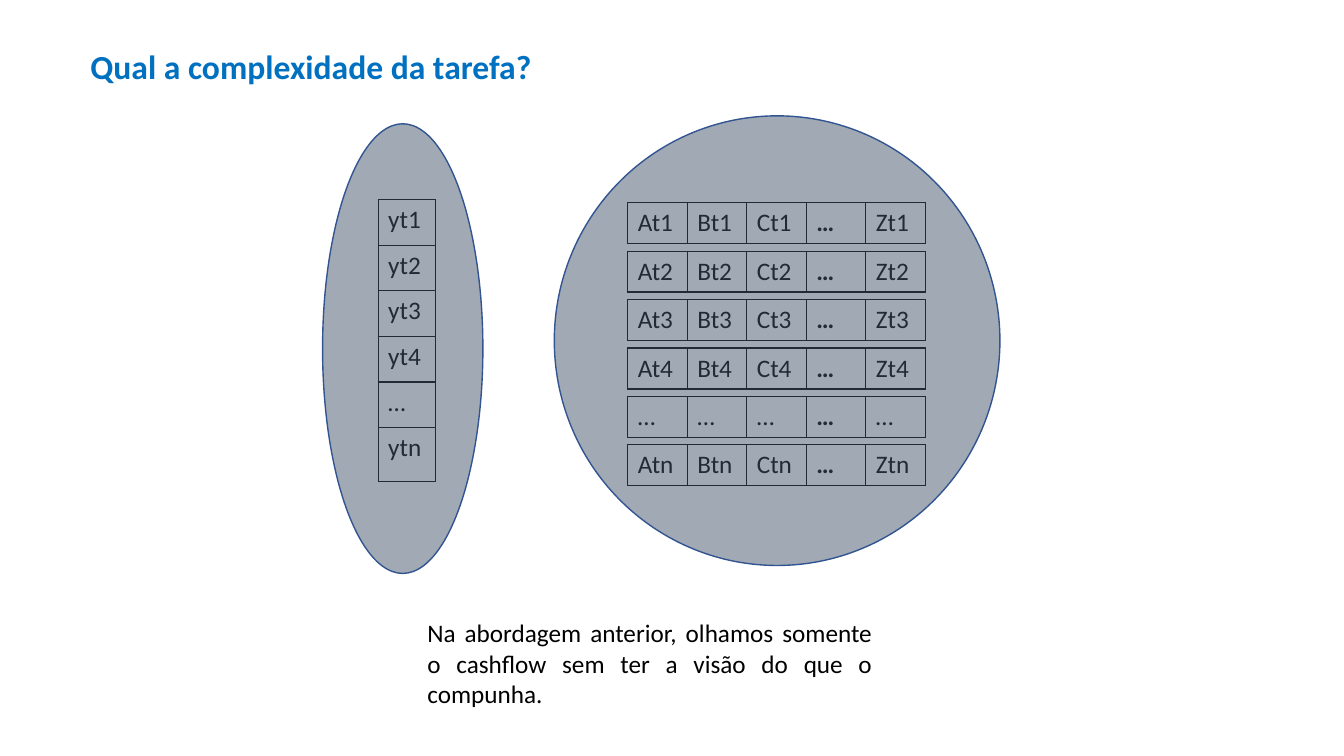
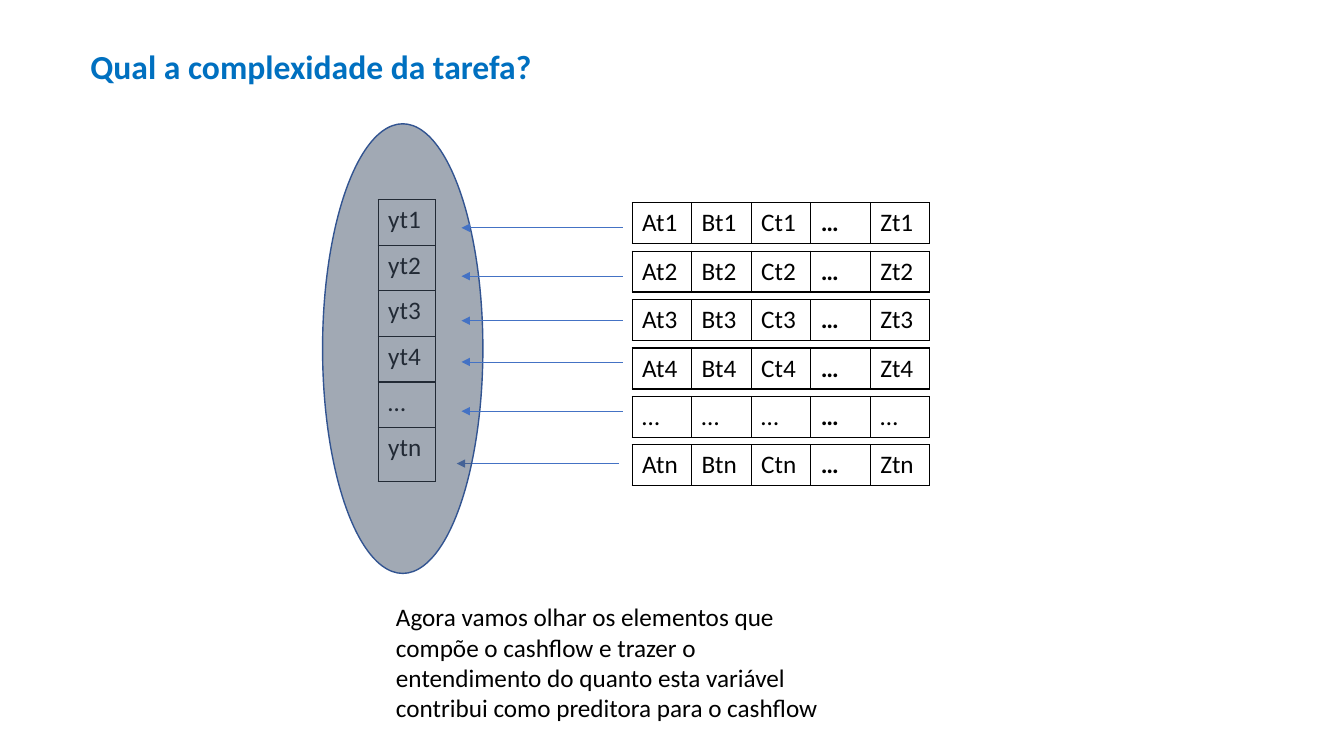
from lxml import etree
from pptx import Presentation
from pptx.dml.color import RGBColor
from pptx.enum.shapes import MSO_CONNECTOR, MSO_SHAPE
from pptx.enum.text import MSO_AUTO_SIZE, PP_ALIGN
from pptx.oxml.ns import qn
from pptx.util import Cm, Pt

# Shared look
FONT = "Calibri"
BLACK, TITLE_BLUE, ARROW_BLUE = "000000", "0070C0", "4472C4"
OVAL_FILL, OVAL_LINE = "44546A", "325491"
TITLE = "Qual a complexidade da tarefa?"
TITLE_BOX = (2.03, 1.02, 27.09, 1.27)
OVAL_Y = (8.13, 3.12, 4.04, 11.33)
OVAL_X = (13.97, 2.92, 11.23, 11.33)

# Table contents: one y column, one single-row table per period
PERIODS = ["1", "2", "3", "4", None, "n"]
Y_CELLS = [[f"yt{t}" if t else "…"] for t in PERIODS]
X_ROWS = [[f"{name}t{t}" if t and name != "…" else "…" for name in "ABC…Z"]
          for t in PERIODS]
Y_HEIGHTS = [1.15] * 5 + [1.36]

# What differs between the slides; arrows are (from x, to x, y)
SLIDES = [
    dict(x_left=15.82, ovals=[OVAL_Y, OVAL_X], back_arrows=[], front_arrows=[],
         box=(10.52, 15.44, 11.71, 2.57), align=PP_ALIGN.JUSTIFY,
         caption="Na abordagem anterior, olhamos somente o cashflow "
                 "sem ter a visão do que o compunha."),
    dict(x_left=15.93, ovals=[OVAL_Y],
         back_arrows=[(15.6, 11.51, 11.68)],
         front_arrows=[(15.7, 11.63, y) for y in (5.74, 6.96, 8.08, 9.12, 10.36)],
         box=(9.73, 15.04, 11.71, 3.33), align=PP_ALIGN.LEFT,
         caption="Agora vamos olhar os elementos que compõe o cashflow e trazer o "
                 "entendimento do quanto esta variável contribui como preditora "
                 "para o cashflow"),
]


def write(tf, text, size=18, color=BLACK, bold=False, align=PP_ALIGN.LEFT):
    tf.word_wrap = True
    p = tf.paragraphs[0]
    p.alignment = align
    r = p.add_run()
    r.text = text
    r.font.name = FONT
    r.font.size = Pt(size)
    r.font.bold = bold
    r.font.color.rgb = RGBColor.from_string(color)


def add_arrows(s, arrows):
    for x1, x2, y in arrows:
        line = s.shapes.add_connector(MSO_CONNECTOR.STRAIGHT, Cm(x1), Cm(y), Cm(x2), Cm(y))
        line.line.color.rgb = RGBColor.from_string(ARROW_BLUE)
        line.line.width = Pt(0.5)
        etree.SubElement(line.line._get_or_add_ln(), qn("a:tailEnd"), type="triangle")
        etree.SubElement(line._element.spPr, qn("a:effectLst"))


prs = Presentation()
prs.slide_width, prs.slide_height = Cm(33.87), Cm(19.05)

for data in SLIDES:
    s = prs.slides.add_slide(prs.slide_layouts[6])

    # Tables: left, top, column width, row heights, rows
    tables = [(9.53, 5.03, 1.45, Y_HEIGHTS, Y_CELLS)]
    tables += [(data["x_left"], 5.11 + 1.22 * i, 1.5, [1.03], [row])
               for i, row in enumerate(X_ROWS)]
    for left, top, col_w, heights, rows in tables:
        n_cols = len(rows[0])
        tbl = s.shapes.add_table(len(rows), n_cols, Cm(left), Cm(top),
                                 Cm(col_w * n_cols), Cm(sum(heights))).table
        tbl.first_row = tbl.horz_banding = False
        for col in tbl.columns:
            col.width = Cm(col_w)
        for i, row in enumerate(rows):
            tbl.rows[i].height = Cm(heights[i])
            for j, text in enumerate(row):
                cell = tbl.cell(i, j)
                write(cell.text_frame, text, bold=j == 3)
                # Borders come before the fill in the cell properties
                tc_pr = cell._tc.get_or_add_tcPr()
                for side in ("a:lnL", "a:lnR", "a:lnT", "a:lnB"):
                    ln = etree.SubElement(tc_pr, qn(side), w=str(Pt(1)))
                    fill = etree.SubElement(ln, qn("a:solidFill"))
                    etree.SubElement(fill, qn("a:srgbClr"), val=BLACK)
                cell.fill.background()

    # Ovals shade the tables and the back arrow
    add_arrows(s, data["back_arrows"])
    for box in data["ovals"]:
        sp = s.shapes.add_shape(MSO_SHAPE.OVAL, *map(Cm, box))
        sp.shadow.inherit = False
        sp.fill.solid()
        sp.fill.fore_color.rgb = RGBColor.from_string(OVAL_FILL)
        clr = sp._element.spPr.find(qn("a:solidFill")).find(qn("a:srgbClr"))
        etree.SubElement(clr, qn("a:alpha"), val="50000")
        sp.line.color.rgb = RGBColor.from_string(OVAL_LINE)
        sp.line.width = Pt(1)
    add_arrows(s, data["front_arrows"])

    # Title and caption
    for box, text, style in [
        (TITLE_BOX, TITLE, dict(size=24, color=TITLE_BLUE, bold=True)),
        (data["box"], data["caption"], dict(align=data["align"])),
    ]:
        tf = s.shapes.add_textbox(*map(Cm, box)).text_frame
        write(tf, text, **style)
        tf.auto_size = MSO_AUTO_SIZE.SHAPE_TO_FIT_TEXT

prs.save("out.pptx")
